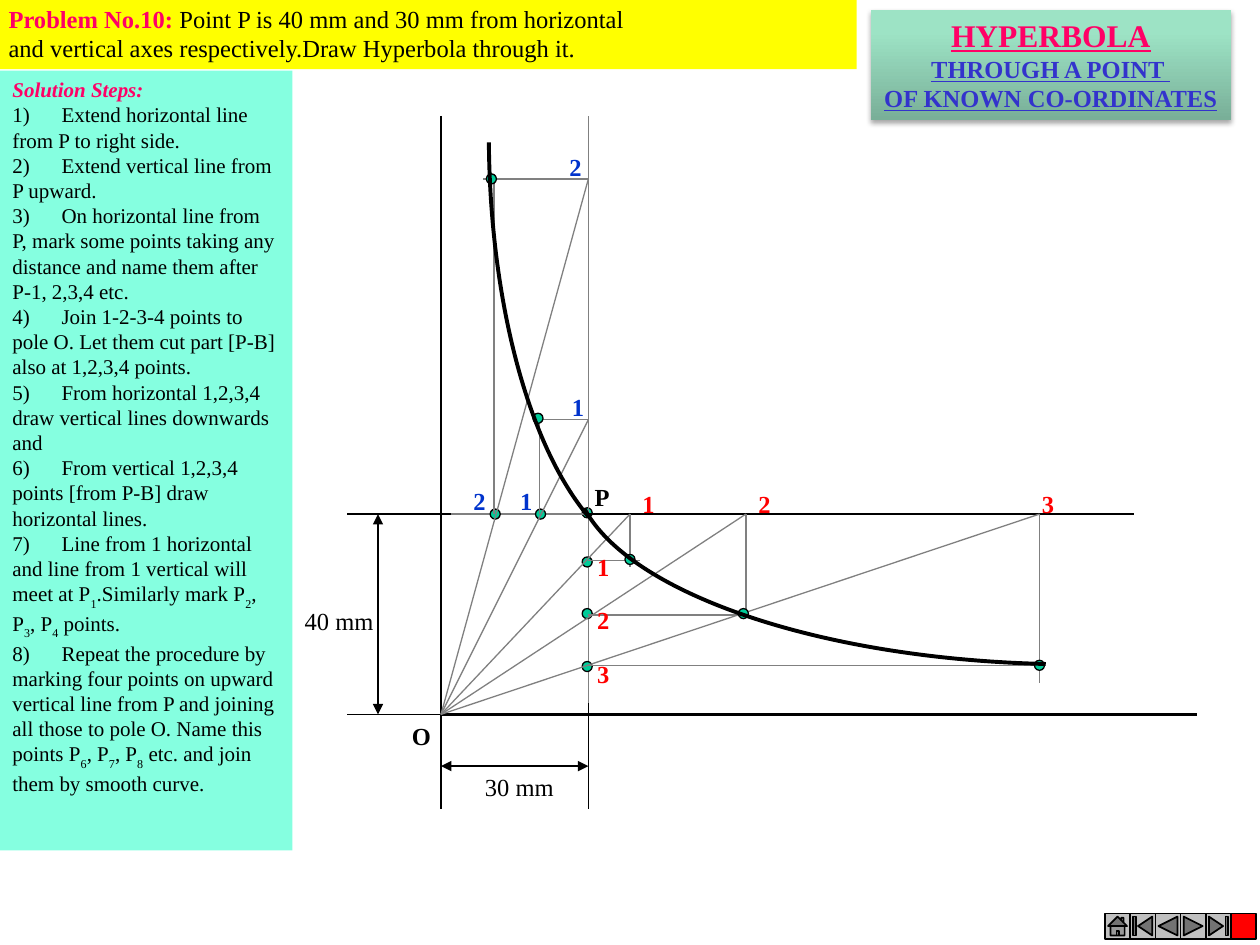
from typing import NamedTuple

from lxml.etree import SubElement
from pptx import Presentation
from pptx.dml.color import RGBColor
from pptx.enum.shapes import MSO_CONNECTOR, MSO_SHAPE
from pptx.enum.text import MSO_ANCHOR, MSO_AUTO_SIZE, PP_ALIGN
from pptx.oxml.ns import qn
from pptx.util import Inches, Pt

FONT = "Times New Roman"
BLACK, GRAY, RED, BLUE = "000000", "808080", "FF0000", "0033CC"
PINK, GREEN, SILVER = "FF0066", "00CC99", "C0C0C0"

# Key places of the drawing, in inches
POLE_X, POLE_Y = 3.5, 5.67
P_X, P_Y = 4.67, 4.08
DOT = 0.08


class Line(NamedTuple):
    x1: float
    y1: float
    x2: float
    y2: float
    color: str = GRAY
    width: float = 0.75
    arrows: bool = False


class Label(NamedTuple):
    text: str
    left: float
    top: float
    color: str = RED
    bold: bool = True
    width: float = 0.3


class Span(NamedTuple):
    text: str
    size: float
    color: str = BLACK
    bold: bool = False
    italic: bool = False
    underline: bool = False
    subscript: bool = False


class Curve(NamedTuple):
    start: tuple
    controls: list


AXES = [
    Line(POLE_X, 0.92, POLE_X, POLE_Y, BLACK, 1.5),
    Line(POLE_X, POLE_Y, 9.5, POLE_Y, BLACK, 1.5),
    Line(POLE_X, P_Y, P_X, P_Y),
    Line(P_X, P_Y, P_X, POLE_Y),
    Line(P_X, P_Y, 9, P_Y, BLACK),
    Line(P_X, P_Y, P_X, 0.92),
]
DIMENSIONS = [
    Line(3, P_Y, 3, POLE_Y, BLACK, arrows=True),
    Line(POLE_X, POLE_Y, 2.75, POLE_Y, BLACK),
    Line(3.58, P_Y, 2.75, P_Y, BLACK),
    Line(POLE_X, 6.08, P_X, 6.08, BLACK, arrows=True),
    Line(POLE_X, 5.58, POLE_X, 6.42, BLACK),
    Line(P_X, 5.58, P_X, 6.42, BLACK),
]
RAY_ENDS = [(5, P_Y), (5.92, P_Y), (8.25, P_Y), (P_X, 3.33), (P_X, 1.42)]
RAYS = [Line(POLE_X, POLE_Y, x, y) for x, y in RAY_ENDS]
PROJECTIONS = [
    Line(5, P_Y, 5, 4.5), Line(P_X, 4.45, 5.08, 4.45),
    Line(5.92, P_Y, 5.92, 4.83), Line(P_X, 4.88, 5.92, 4.88),
    Line(8.25, P_Y, 8.25, 5.42), Line(P_X, 5.28, 8.25, 5.28),
    Line(4.28, P_Y, 4.28, 3.33), Line(P_X, 3.33, 4.25, 3.33),
    Line(3.92, P_Y, 3.92, 1.42), Line(P_X, 1.42, 3.83, 1.42),
]
AXIS_DOTS = [(4.66, 4.46), (4.66, 4.87), (4.66, 5.29), (4.29, 4.08), (3.93, 4.08)]
CURVE_DOTS = [(5, 4.44), (5.9, 4.87), (8.25, 5.28), (4.27, 3.32), (3.9, 1.42)]
CURVES = [
    Curve((4.67, 4.1), [(4.19, 3.53), (3.89, 2.38), (3.88, 1.13)]),
    Curve((4.64, 4.04), [(5.01, 4.72), (6.53, 5.23), (8.3, 5.27)]),
]
LABELS = [
    Label("P", 4.62, 3.78, BLACK, width=0.32),
    Label("O", 3.17, 5.67, BLACK, width=0.35),
    Label("40 mm", 2.32, 4.76, BLACK, False, 0.75),
    Label("30 mm", 3.75, 6.08, BLACK, False, 0.75),
    Label("1", 4.64, 4.33), Label("2", 4.64, 4.75), Label("3", 4.64, 5.18),
    Label("1", 5, 3.83), Label("2", 5.92, 3.83), Label("3", 8.17, 3.83),
    Label("1", 4.03, 3.81, BLUE), Label("2", 3.66, 3.81, BLUE),
    Label("1", 4.44, 3.06, BLUE), Label("2", 4.42, 1.16, BLUE),
]
# Underscores enclose subscripts
STEPS = [
    "Extend horizontal line from P to right side.",
    "Extend vertical line from P upward.",
    "On horizontal line from P, mark some points taking any distance and name them after P-1, 2,3,4 etc.",
    "Join 1-2-3-4 points to pole O. Let them cut part [P-B] also at 1,2,3,4 points.",
    "From horizontal 1,2,3,4 draw vertical lines downwards and",
    "From vertical 1,2,3,4 points [from P-B] draw horizontal lines.",
    "Line from 1 horizontal and line from 1 vertical will meet at P_1_.Similarly mark P_2_, P_3_, P_4_ points.",
    "Repeat the procedure by marking four points on upward vertical line from P and joining all those "
    "to pole O. Name this points P_6_, P_7_, P_8_ etc. and join them by smooth curve.",
]
BUTTONS = [
    (MSO_SHAPE.ACTION_BUTTON_HOME, SILVER),
    (MSO_SHAPE.ACTION_BUTTON_BEGINNING, SILVER),
    (MSO_SHAPE.ACTION_BUTTON_BACK_OR_PREVIOUS, SILVER),
    (MSO_SHAPE.ACTION_BUTTON_FORWARD_OR_NEXT, SILVER),
    (MSO_SHAPE.ACTION_BUTTON_END, SILVER),
    (MSO_SHAPE.ACTION_BUTTON_CUSTOM, RED),
]


def rgb(color: str) -> RGBColor:
    return RGBColor.from_string(color)


def draw_line(page, line: Line) -> None:
    ends = [Inches(value) for value in line[:4]]
    connector = page.shapes.add_connector(MSO_CONNECTOR.STRAIGHT, *ends)
    connector.line.color.rgb = rgb(line.color)
    connector.line.width = Pt(line.width)
    if line.arrows:
        for end in ("a:headEnd", "a:tailEnd"):
            SubElement(connector.line._get_or_add_ln(), qn(end), type="triangle")
    SubElement(connector.element.spPr, qn("a:effectLst"))


def add_box(page, kind, left, top, width, height, fill=None, outline=None, weight=0.75):
    box = page.shapes.add_shape(kind, Inches(left), Inches(top), Inches(width), Inches(height))
    if fill:
        box.fill.solid()
        box.fill.fore_color.rgb = rgb(fill)
    if outline:
        box.line.color.rgb = rgb(outline)
        box.line.width = Pt(weight)
    else:
        box.line.fill.background()
    box.shadow.inherit = False
    return box


def draw_dot(page, x: float, y: float) -> None:
    add_box(page, MSO_SHAPE.OVAL, x - DOT / 2, y - DOT / 2, DOT, DOT, GREEN, BLACK)


def draw_curve(page, curve: Curve) -> None:
    builder = page.shapes.build_freeform(*[Inches(value) for value in curve.start])
    builder.add_line_segments([(Inches(x), Inches(y)) for x, y in curve.controls], close=False)
    shape = builder.convert_to_shape()
    shape.fill.background()
    shape.line.color.rgb = rgb(BLACK)
    shape.line.width = Pt(2.25)
    shape.shadow.inherit = False
    # Turn the three segments into one Bezier segment
    segments = shape.element.xpath(".//a:lnTo")
    bezier = SubElement(segments[0].getparent(), qn("a:cubicBezTo"))
    for segment in segments:
        bezier.append(segment[0])
        segment.getparent().remove(segment)


def write(box, paragraphs: list, align=PP_ALIGN.LEFT, wrap: bool = True, tab: float = 0) -> None:
    frame = box.text_frame
    frame.word_wrap = wrap
    frame.vertical_anchor = MSO_ANCHOR.TOP
    if not wrap:
        frame.auto_size = MSO_AUTO_SIZE.SHAPE_TO_FIT_TEXT
    for index, spans in enumerate(paragraphs):
        para = frame.add_paragraph() if index else frame.paragraphs[0]
        para.alignment = align
        if tab:
            stops = SubElement(para._p.get_or_add_pPr(), qn("a:tabLst"))
            SubElement(stops, qn("a:tab"), pos=str(Inches(tab)), algn="l")
        for span in spans:
            run = para.add_run()
            run.text = span.text
            font = run.font
            font.name, font.size, font.color.rgb = FONT, Pt(span.size), rgb(span.color)
            font.bold, font.italic, font.underline = span.bold, span.italic, span.underline
            if span.subscript:
                run._r.get_or_add_rPr().set("baseline", "-30000")


def step_spans(number: int, step: str) -> list:
    parts = f"{number})\t{step}".split("_")
    return [Span(part, 12, subscript=index % 2 == 1) for index, part in enumerate(parts)]


def draw_heading(page) -> None:
    box = add_box(page, MSO_SHAPE.RECTANGLE, 6.91, 0.08, 2.86, 0.87)
    box.fill.gradient()
    box.fill.gradient_angle = 90
    for stop, position, color in zip(box.fill.gradient_stops, (0, 0.8), ("79AF98", "9DE3C5")):
        stop.position, stop.color.rgb = position, rgb(color)
    effects = box.element.spPr.find(qn("a:effectLst"))
    shadow = SubElement(effects, qn("a:outerShdw"), blurRad=str(Pt(3.1)), dist=str(Pt(1.8)),
                        dir="5400000", rotWithShape="0")
    shade = SubElement(shadow, qn("a:srgbClr"), val=BLACK)
    SubElement(shade, qn("a:alpha"), val="35000")
    rows = [("HYPERBOLA", 18, PINK), ("THROUGH A POINT ", 14, "3333CC"),
            ("OF KNOWN CO-ORDINATES", 14, "3333CC")]
    write(box, [[Span(*row, bold=True, underline=True)] for row in rows], PP_ALIGN.CENTER)


def main() -> None:
    deck = Presentation()
    deck.slide_width, deck.slide_height = Inches(10), Inches(7.5)
    page = deck.slides.add_slide(deck.slide_layouts[6])

    # Construction, from back to front
    draw_dot(page, 4.66, 4.07)
    for lines, dots in ((AXES + DIMENSIONS, AXIS_DOTS), (RAYS + PROJECTIONS, CURVE_DOTS)):
        for line in lines:
            draw_line(page, line)
        for dot in dots:
            draw_dot(page, *dot)
    for curve in CURVES:
        draw_curve(page, curve)
    for label in LABELS:
        box = page.shapes.add_textbox(Inches(label.left), Inches(label.top),
                                      Inches(label.width), Inches(0.33))
        write(box, [[Span(label.text, 14, label.color, label.bold)]], wrap=False)

    # Heading, solution steps and problem
    draw_heading(page)
    solution = add_box(page, MSO_SHAPE.RECTANGLE, 0, 0.56, 2.32, 6.19, "85FFE0")
    steps = [step_spans(number, step) for number, step in enumerate(STEPS, 1)]
    write(solution, [[Span("Solution Steps:", 12, PINK, True, True)]] + steps, tab=0.39)
    problem = add_box(page, MSO_SHAPE.RECTANGLE, -0.03, -0.02, 6.83, 0.57, "FFFF00")
    write(problem, [
        [Span("Problem No.10:", 14, PINK, True),
         Span(" Point P is 40 mm and 30 mm from horizontal", 14)],
        [Span("and vertical axes respectively.Draw Hyperbola through it.", 14)],
    ])

    # Navigation buttons
    for index, (kind, fill) in enumerate(BUTTONS):
        add_box(page, kind, 8.77 + 0.2 * index, 7.25, 0.2, 0.2, fill, BLACK, 1)

    deck.save("out.pptx")


if __name__ == "__main__":
    main()
